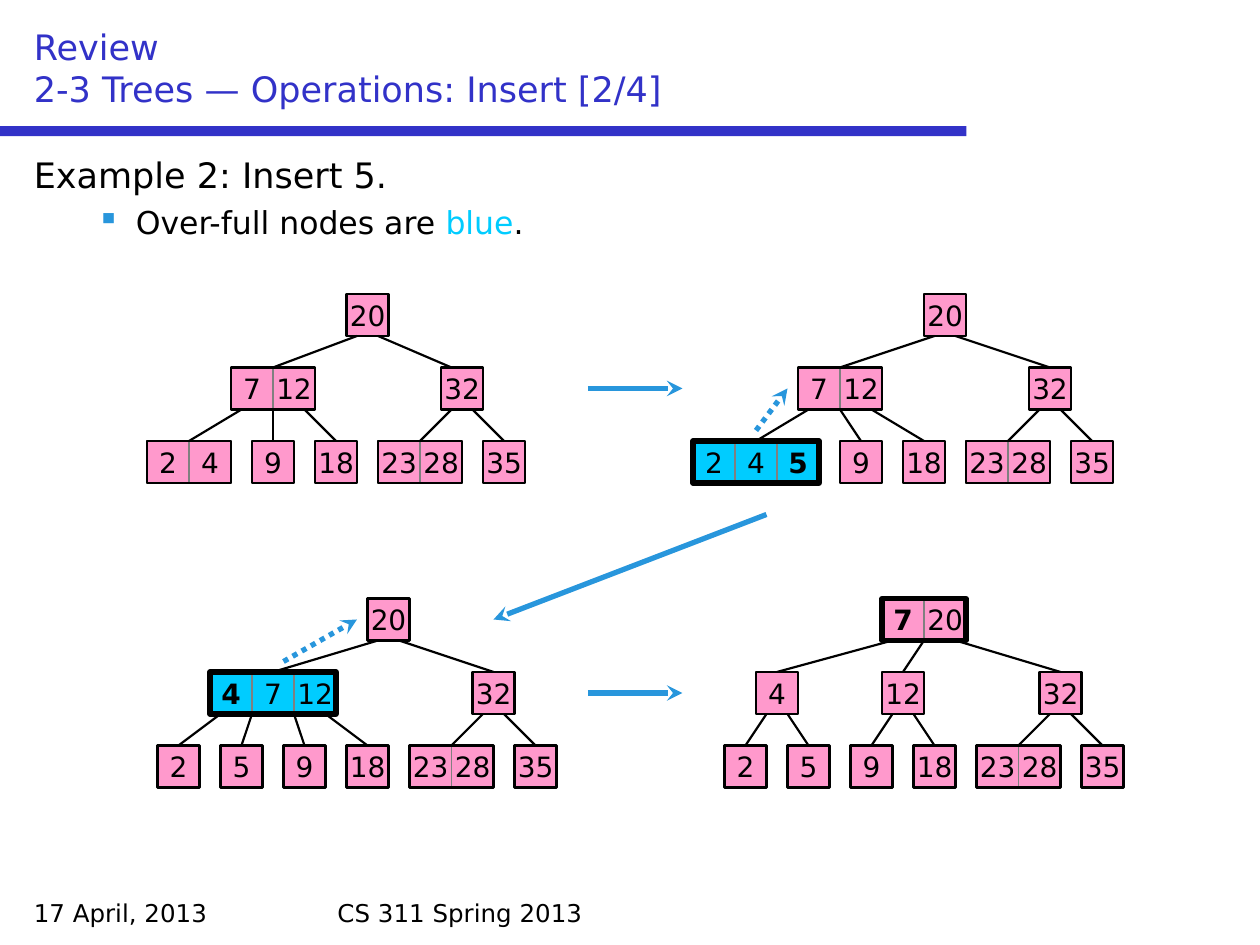
from collections import namedtuple

from lxml import etree
from pptx import Presentation
from pptx import util as u
from pptx.dml.color import RGBColor
from pptx.enum import dml, shapes, text
from pptx.oxml.ns import qn

FONT = "DejaVu Sans"
BLACK, GRAY, PINK, CYAN = "000000", "808080", "FF99CC", "00CCFF"
INDIGO, BLUE = "3232C8", "2896DC"
CELL, LEVEL = 4, 7

Node = namedtuple("Node", "left keys joint landing", defaults=(None, None))

TREES = [
    (14, 28, [
        [Node(19, "20")],
        [Node(8, "7 12", 20), Node(28, "32", 22, 29)],
        [Node(0, "2 4", 9), Node(10, "9", 12), Node(16, "18", 15),
         Node(22, "23 28", 29), Node(32, "35", 31)],
    ]),
    (66, 28, [
        [Node(22, "20")],
        [Node(10, "7 12", 23), Node(32, "32", 25)],
        [Node(0, "2 4 5*", 11), Node(14, "9", 14), Node(20, "18", 17),
         Node(26, "23 28", 33), Node(36, "35", 35)],
    ]),
    (15, 57, [
        [Node(20, "20")],
        [Node(5, "4* 7 12", 21), Node(30, "32", 23)],
        [Node(0, "2", 6), Node(6, "5", 9), Node(12, "9", 13),
         Node(18, "18", 16), Node(24, "23 28", 31), Node(34, "35", 33)],
    ]),
    (69, 57, [
        [Node(15, "7* 20")],
        [Node(3, "4", 16), Node(15, "12", 19), Node(30, "32", 22)],
        [Node(0, "2", 4), Node(6, "5", 6), Node(12, "9", 16),
         Node(18, "18", 18), Node(24, "23 28", 31), Node(34, "35", 33)],
    ]),
]
STEPS = [(56, 37, 65, 37), (73, 49, 47, 59), (56, 66, 65, 66)]
PROMOTIONS = [(72, 41, 75, 37), (27, 63, 34, 59)]


def color(value):
    return RGBColor.from_string(value)


def grid(*units):
    return [u.Inches(unit / 12) for unit in units]


def assign(target, values):
    for name, value in values.items():
        setattr(target, name, value)


def write(para, wording, size, ink=BLACK, bold=False):
    span = para.add_run()
    span.text = wording
    assign(span.font, {"name": FONT, "size": u.Pt(size), "bold": bold})
    span.font.color.rgb = color(ink)
    return span


def add_rect(page, place, fill=None, line=None, width=1.25):
    box = page.shapes.add_shape(shapes.MSO_SHAPE.RECTANGLE, *place)
    box.shadow.inherit = False
    if fill:
        box.fill.solid()
        box.fill.fore_color.rgb = color(fill)
    else:
        box.fill.background()
    if line:
        box.line.color.rgb = color(line)
        box.line.width = u.Pt(width)
    else:
        box.line.fill.background()
    return box


def add_line(page, ends, ink=BLACK, width=1.25, arrow=False, dotted=False):
    line = page.shapes.add_connector(shapes.MSO_CONNECTOR.STRAIGHT, *grid(*ends))
    line.line.color.rgb = color(ink)
    line.line.width = u.Pt(width)
    if dotted:
        line.line.dash_style = dml.MSO_LINE.ROUND_DOT
    if arrow:
        etree.SubElement(line.line._get_or_add_ln(), qn("a:tailEnd"), type="stealth")
    etree.SubElement(line._element.spPr, qn("a:effectLst"))


def add_text_box(page, place, anchor=text.MSO_ANCHOR.TOP):
    box = page.shapes.add_textbox(*map(u.Inches, place))
    assign(box.text_frame, {"word_wrap": True, "vertical_anchor": anchor})
    return box.text_frame


def add_header(page, place):
    para = add_text_box(page, place, text.MSO_ANCHOR.BOTTOM).paragraphs[0]
    write(para, "Review", 20, INDIGO)
    para.add_line_break()
    write(para, "2-3 Trees — Operations: Insert [2/4]", 20, INDIGO)
    add_rect(page, map(u.Inches, (0, 1, 7.67, 0.08)), INDIGO)


def add_body(page, place):
    frame = add_text_box(page, place)
    write(frame.paragraphs[0], "Example 2: Insert 5.", 20)
    para = frame.add_paragraph()
    props = para._p.get_or_add_pPr()
    assign_indent = {"marL": u.Inches(0.81), "indent": u.Inches(-0.31)}
    for name, value in assign_indent.items():
        props.set(name, str(value))
    para.space_before = u.Pt(4.5)
    tint = etree.SubElement(props, qn("a:buClr"))
    etree.SubElement(tint, qn("a:srgbClr"), val=BLUE)
    etree.SubElement(props, qn("a:buChar"), char="▪")
    for wording, ink in [("Over-full nodes are ", BLACK), ("blue", CYAN), (".", BLACK)]:
        write(para, wording, 18, ink)


def add_footer(page, top):
    for left, width, wording in [(0.17, 2.33, "17 April, 2013"),
                                 (2.58, 4.83, "CS 311 Spring 2013")]:
        frame = add_text_box(page, (left, top, width, 0.33))
        write(frame.paragraphs[0], wording, 14)


def add_node(page, left, top, keys):
    changed = any(key.endswith("*") for key in keys)
    fill = CYAN if len(keys) > 2 else PINK
    single = len(keys) == 1
    for index, key in enumerate(keys):
        place = grid(left + index * CELL, top, CELL, CELL)
        box = add_rect(page, place, fill, BLACK if single else GRAY, 1.25 if single else 0.75)
        frame = box.text_frame
        assign(frame, {"word_wrap": False, "vertical_anchor": text.MSO_ANCHOR.MIDDLE,
                       "margin_left": 0, "margin_right": 0,
                       "margin_top": 0, "margin_bottom": 0})
        frame.paragraphs[0].alignment = text.PP_ALIGN.CENTER
        write(frame.paragraphs[0], key.rstrip("*"), 16, bold=key.endswith("*"))
    if not single:
        place = grid(left, top, CELL * len(keys), CELL)
        add_rect(page, place, line=BLACK, width=3 if changed else 1.25)


def add_tree(page, left, top, levels):
    for depth, nodes in enumerate(levels):
        row = top + depth * LEVEL
        for node in nodes:
            keys = node.keys.split()
            if node.joint is not None:
                landing = node.landing or node.left + CELL * len(keys) / 2
                add_line(page, (left + node.joint, row - LEVEL + CELL, left + landing, row))
            add_node(page, left + node.left, row, keys)


def add_arrows(page):
    for arrows, dotted in [(STEPS, False), (PROMOTIONS, True)]:
        for ends in arrows:
            add_line(page, ends, BLUE, 3, arrow=True, dotted=dotted)


def main():
    deck = Presentation()
    assign(deck, {"slide_width": u.Inches(10), "slide_height": u.Inches(7.5)})
    page = deck.slides.add_slide(deck.slide_layouts[6])
    add_header(page, (0.17, 0.17, 9.67, 0.75))
    add_body(page, (0.17, 1.17, 9.67, 5.83))
    add_footer(page, 7.08)
    for left, top, levels in TREES:
        add_tree(page, left, top, levels)
    add_arrows(page)
    deck.save("out.pptx")


if __name__ == "__main__":
    main()
